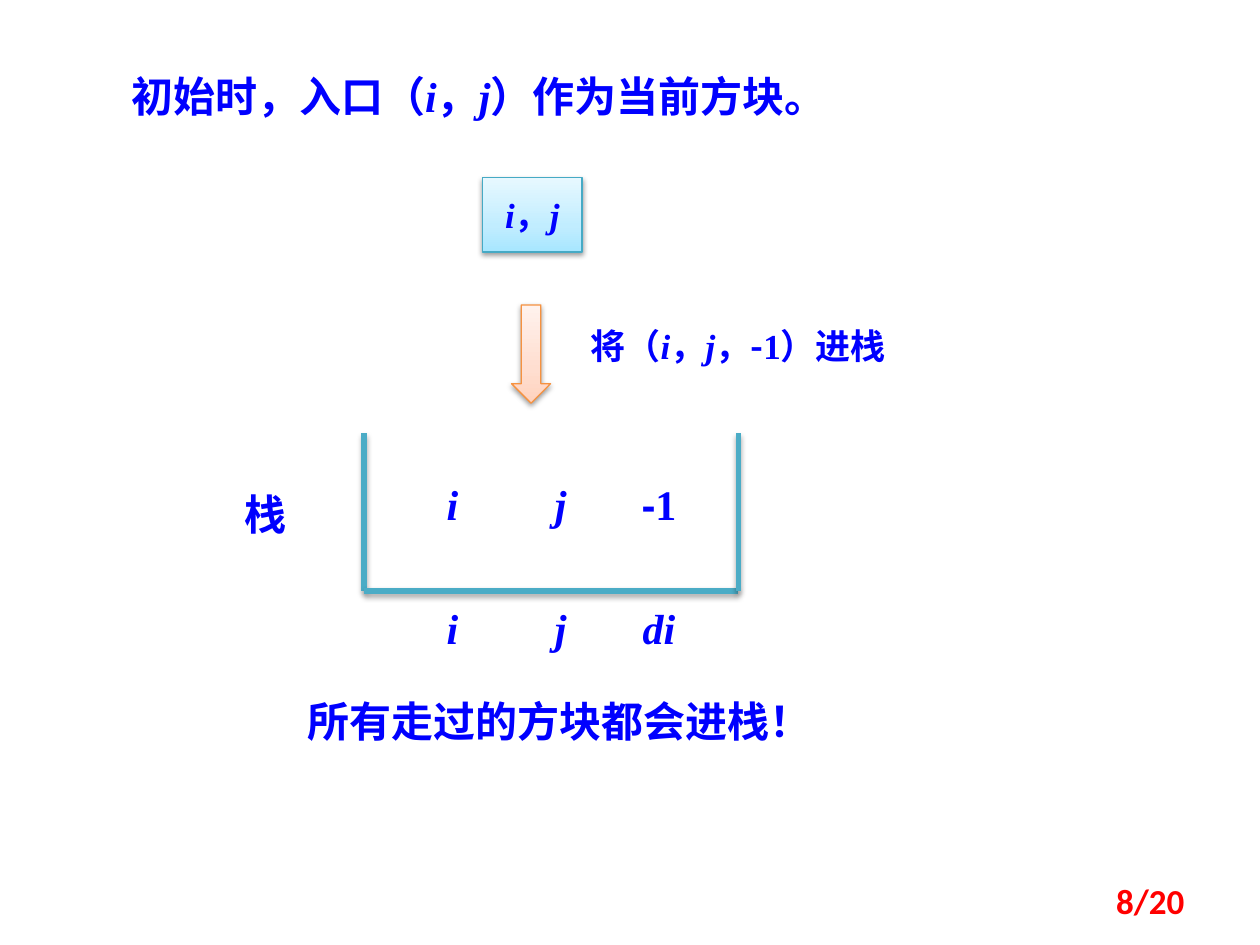
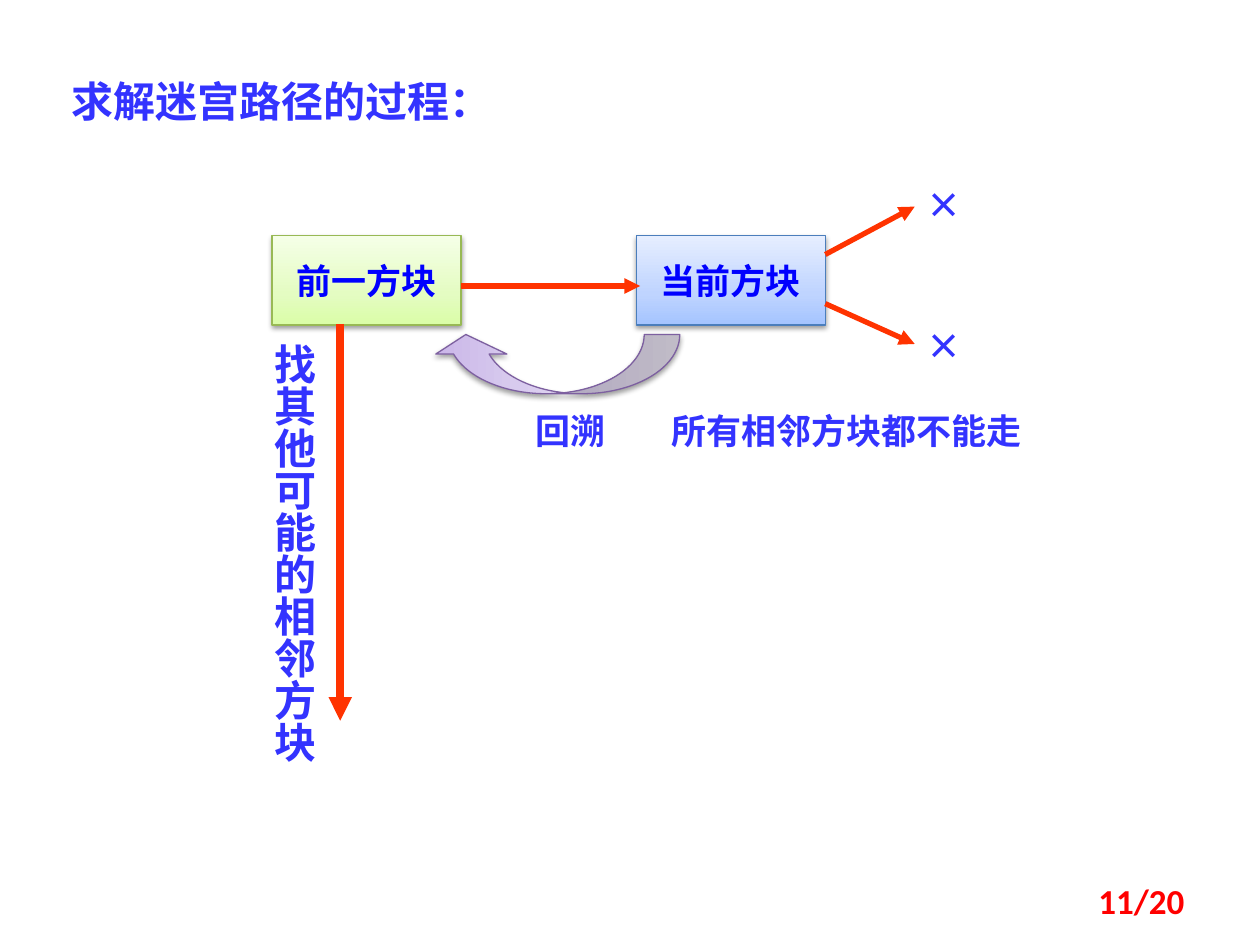
import pptx
import pptx.util
import pptx.dml.color
import pptx.enum.shapes
import pptx.enum.text
import pptx.oxml
import pptx.oxml.ns
from lxml import etree

Inches, Pt = pptx.util.Inches, pptx.util.Pt
RGB = pptx.dml.color.RGBColor.from_string
SHAPE = pptx.enum.shapes.MSO_SHAPE
ALIGN = pptx.enum.text.PP_ALIGN
ANCHOR = pptx.enum.text.MSO_ANCHOR
qn = pptx.oxml.ns.qn


class Theme:
    blue, violet, red = "0000FF", "3333FF", "FF0000"
    arrow, stack = "FF3300", "4BACC6"
    serif, sans, arial, footer = "Times New Roman", "Noto Sans CJK SC", "Arial", "Calibri"
    large, normal = 24, 20
    # (line colour, gradient stops at 0, 35 and 100 %)
    aqua = ("46AAC5", ("A7E6FF", "C1EDFF", "E7F8FF"))
    orange = ("F69240", ("FFD2BD", "FFDED0", "FFF2ED"))
    green = ("98B955", ("DAFDA7", "E4FCC2", "F5FFE7"))
    azure = ("4B7EBC", ("A4C4FF", "BFD4FF", "E6EEFF"))
    purple = ("7D60A0", ("C9B5E8", "D8CBEE", "F0EAF9"))
    # (opacity %, distance in points)
    shape_shadow, line_shadow = (38, 1.6), (35, 1.8)


# Content: text is a list of runs, a run is (text, changed format)
ITALIC = {"italic": True}
SANS = {"name": Theme.sans}
PAIR = [("i", ITALIC), ("，", {}), ("j", ITALIC)]

START_TITLE = [("初始时，入口（", {}), *PAIR, ("）作为当前方块。", {})]
PUSH_LABEL = [("将（", {}), *PAIR, ("，", {}), ("-", SANS), ("1）进栈", {})]
STACK_ROWS = [
    (3.75, [[("i", ITALIC)], [("j", ITALIC)], [("-", {"name": Theme.arial}), ("1", {})]]),
    (4.73, [[("i", ITALIC)], [("j", ITALIC)], [("di", ITALIC)]]),
]
STACK_COLUMNS = (3.2, 4.06, 4.84)
STACK_WALLS = [(2.89, 3.44), (2.89, 4.69), (5.86, 4.69), (5.86, 3.44)]

PROCESS_TITLE = [("求解迷宫路径的过程：", {})]
BLOCKS = [(2.16, "前一方块", Theme.green), (5.05, "当前方块", Theme.azure)]
CROSSES = (1.41, 2.53)
PATH_ARROWS = [  # start, end, width
    ((6.55, 2.02), (7.26, 1.64), 3),
    ((6.55, 2.41), (7.26, 2.73), 3),
    ((3.66, 2.27), (5.08, 2.27), 3),
    ((2.7, 2.57), (2.7, 5.72), 4.5),
]


# Helpers
def set_values(obj, values):
    for key, value in values.items():
        setattr(obj, key, value)


def write(shape, runs, size=Theme.normal, font=Theme.serif, color=Theme.blue,
          align=ALIGN.CENTER, anchor=ANCHOR.TOP, wrap=True):
    tf = shape.text_frame
    set_values(tf, {"word_wrap": wrap, "vertical_anchor": anchor,
                    "auto_size": pptx.enum.text.MSO_AUTO_SIZE.NONE})
    p = tf.paragraphs[0]
    p.alignment = align
    for text, changes in runs:
        r = p.add_run()
        r.text = text
        set_values(r.font, {"size": Pt(size), "name": font, "bold": True,
                            "italic": False, **changes})
        r.font.color.rgb = RGB(color)
        ea = etree.SubElement(r.font._element, qn("a:ea"))
        ea.set("typeface", Theme.sans)


def label(s, box, text, **style):
    shape = s.shapes.add_textbox(*map(Inches, box))
    runs = [(text, {})] if isinstance(text, str) else text
    write(shape, runs, **style)
    return shape


def set_shadow(shape, shadow=None):
    spPr = shape._element.spPr
    effects = etree.SubElement(spPr, qn("a:effectLst"))
    if shadow:
        opacity, distance = shadow
        outer = etree.SubElement(effects, qn("a:outerShdw"), blurRad=str(Pt(3.1)),
                                 dist=str(Pt(distance)), dir="5400000", rotWithShape="0")
        color = etree.SubElement(outer, qn("a:srgbClr"), val="000000")
        etree.SubElement(color, qn("a:alpha"), val=str(opacity * 1000))


def gradient_shape(s, kind, box, palette):
    line, colors = palette
    shape = s.shapes.add_shape(kind, *map(Inches, box))
    shape.line.color.rgb = RGB(line)
    shape.line.width = Pt(0.75)
    shape.fill.gradient()
    shape.fill.gradient_angle = 90
    stops = shape._element.spPr.find(qn("a:gradFill")).find(qn("a:gsLst"))
    for old in list(stops):
        stops.remove(old)
    for percent, color in zip((0, 35, 100), colors):
        stop = etree.SubElement(stops, qn("a:gs"), pos=str(percent * 1000))
        etree.SubElement(stop, qn("a:srgbClr"), val=color)
    set_shadow(shape, Theme.shape_shadow)
    return shape


def line(s, start, end, color, width, arrow=False, shadow=None):
    c = s.shapes.add_connector(pptx.enum.shapes.MSO_CONNECTOR.STRAIGHT,
                               *map(Inches, (*start, *end)))
    c.line.color.rgb = RGB(color)
    c.line.width = Pt(width)
    if arrow:
        etree.SubElement(c.line._get_or_add_ln(), qn("a:tailEnd"), type="triangle")
    set_shadow(c, shadow)


def new_slide(prs, title, box, color, number):
    s = prs.slides.add_slide(prs.slide_layouts[5])
    left, top, width, height = map(Inches, box)
    set_values(s.shapes.title, {"left": left, "top": top, "width": width, "height": height})
    write(s.shapes.title, title, size=Theme.large, color=color, align=ALIGN.LEFT)
    label(s, (7.17, 6.95, 2.33, 0.4), f"{number}/20", font=Theme.footer,
          color=Theme.red, align=ALIGN.RIGHT, anchor=ANCHOR.MIDDLE)
    return s


# Slide: the entrance is pushed on the stack
def build_start(prs):
    s = new_slide(prs, START_TITLE, (0.94, 0.51, 5.78, 0.5), Theme.blue, 8)
    entrance = gradient_shape(s, SHAPE.RECTANGLE, (3.83, 1.41, 0.79, 0.59), Theme.aqua)
    write(entrance, PAIR, anchor=ANCHOR.MIDDLE, wrap=False)
    gradient_shape(s, SHAPE.DOWN_ARROW, (4.06, 2.42, 0.31, 0.78), Theme.orange)
    label(s, (4.53, 2.53, 2.66, 0.44), PUSH_LABEL)

    for top, cells in STACK_ROWS:
        for left, runs in zip(STACK_COLUMNS, cells):
            label(s, (left, top, 0.78, 0.5), runs, size=Theme.large)
    for start, end in zip(STACK_WALLS, STACK_WALLS[1:]):
        line(s, start, end, Theme.stack, 3, shadow=Theme.line_shadow)
    label(s, (1.64, 3.83, 0.94, 0.5), "栈", size=Theme.large, font=Theme.sans)
    label(s, (2.34, 5.47, 4.84, 0.5), "所有走过的方块都会进栈！",
          size=Theme.large, font=Theme.sans, align=ALIGN.LEFT)


# Slide: searching and backtracking
def build_process(prs):
    s = new_slide(prs, PROCESS_TITLE, (0.47, 0.55, 3.7, 0.5), Theme.violet, 11)
    note = {"font": Theme.sans, "color": Theme.violet}
    for left, text, palette in BLOCKS:
        block = gradient_shape(s, SHAPE.RECTANGLE, (left, 1.87, 1.5, 0.71), palette)
        write(block, [(text, {})], font=Theme.sans, anchor=ANCHOR.MIDDLE, wrap=False)
    for start, end, width in PATH_ARROWS:
        line(s, start, end, Theme.arrow, width, arrow=True)
    for top in CROSSES:
        label(s, (7.18, top, 0.63, 0.44), "×", **note)

    back = gradient_shape(s, SHAPE.CURVED_LEFT_ARROW, (4.17, 1.9, 0.47, 1.98), Theme.purple)
    back.rotation = 90
    for i, value in enumerate((0.6, 1.2, 0.33)):
        back.adjustments[i] = value
    label(s, (4.06, 3.2, 0.94, 0.44), "回溯", **note)
    label(s, (5.23, 3.2, 3.13, 0.44), "所有相邻方块都不能走", align=ALIGN.LEFT, **note)

    search = label(s, (2.13, 2.73, 0.4, 3.55), "找其他可能的相邻方块",
                   size=Theme.large, **note)
    tf = search.text_frame
    set_values(tf, dict.fromkeys(
        ("margin_left", "margin_top", "margin_right", "margin_bottom"), 0))
    tf._txBody.bodyPr.set("vert", "eaVert")


def main():
    prs = pptx.Presentation()
    prs.slide_width, prs.slide_height = Inches(10), Inches(7.5)
    build_start(prs)
    build_process(prs)
    prs.save("out.pptx")


if __name__ == "__main__":
    main()
